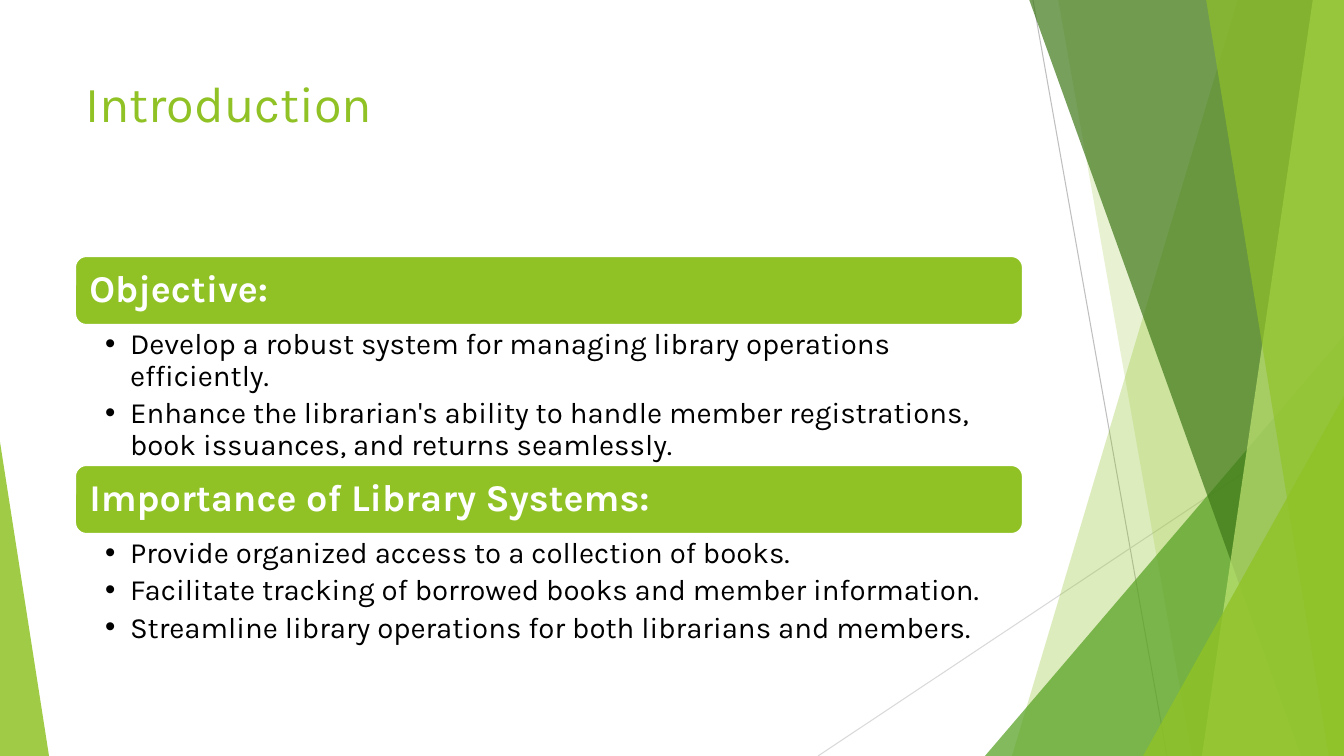
from lxml.etree import SubElement
from pptx import Presentation
from pptx.dml.color import RGBColor
from pptx.enum.shapes import MSO_CONNECTOR, MSO_SHAPE
from pptx.enum.text import MSO_ANCHOR, MSO_AUTO_SIZE, PP_ALIGN
from pptx.oxml.ns import qn
from pptx.util import Pt

EMU_PER_PX = 914400 / 100.8
SLIDE_WIDTH, SLIDE_HEIGHT = 1344, 756
FONT = "Karla"
GREEN, WHITE, BLACK = "90C226", "FFFFFF", "000000"
CONTENT_LEFT, CONTENT_WIDTH = 75, 948
HEADING_HEIGHT = 69

SECTIONS = [
    (256, 139, "Objective:", [
        "Develop a robust system for managing library operations efficiently.",
        "Enhance the librarian's ability to handle member registrations, "
        "book issuances, and returns seamlessly.",
    ]),
    (465, 114, "Importance of Library Systems:", [
        "Provide organized access to a collection of books.",
        "Facilitate tracking of borrowed books and member information.",
        "Streamline library operations for both librarians and members.",
    ]),
]


def px(length):
    return round(length * EMU_PER_PX)


def color(value):
    return RGBColor.from_string(value)


def paint(shape, fill, opacity=100):
    shape.shadow.inherit = False
    shape.fill.solid()
    shape.fill.fore_color.rgb = color(fill)
    shape.line.fill.background()
    if opacity < 100:
        fill_color = shape._element.spPr.find(".//" + qn("a:srgbClr"))
        SubElement(fill_color, qn("a:alpha"), val=str(opacity * 1000))


def place(shape, left, top, width, height):
    shape.left, shape.top = px(left), px(top)
    shape.width, shape.height = px(width), px(height)


def set_frame(frame, anchor, margins):
    frame.word_wrap = True
    frame.auto_size = MSO_AUTO_SIZE.NONE
    frame.vertical_anchor = anchor
    left, top, right, bottom = map(px, margins)
    frame.margin_left, frame.margin_top = left, top
    frame.margin_right, frame.margin_bottom = right, bottom


def format_paragraph(paragraph, size, text_color, bold=False):
    paragraph.alignment = PP_ALIGN.LEFT
    paragraph.space_before = Pt(0)
    paragraph.font.name = FONT
    paragraph.font.size = Pt(size)
    paragraph.font.bold = bold
    paragraph.font.color.rgb = color(text_color)


def add_hairline(slide, start, end, line_color):
    line = slide.shapes.add_connector(
        MSO_CONNECTOR.STRAIGHT, *map(px, start + end))
    line.line.color.rgb = color(line_color)
    line.line.width = Pt(0.75)
    SubElement(line._element.spPr, qn("a:effectLst"))


def add_band(slide, top_x, bottom_x, fill, opacity):
    builder = slide.shapes.build_freeform(top_x, -1, scale=EMU_PER_PX)
    builder.add_line_segments([
        (SLIDE_WIDTH, -1), (SLIDE_WIDTH, SLIDE_HEIGHT), (bottom_x, SLIDE_HEIGHT)])
    paint(builder.convert_to_shape(), fill, opacity)


def add_corner(slide, left, width, height, apex, fill, opacity):
    triangle = slide.shapes.add_shape(
        MSO_SHAPE.ISOSCELES_TRIANGLE,
        px(left), px(SLIDE_HEIGHT - height), px(width), px(height))
    triangle.adjustments[0] = apex
    paint(triangle, fill, opacity)


def add_backdrop(slide):
    add_hairline(slide, (1033, 0), (1167, SLIDE_HEIGHT), "BFBFBF")
    add_hairline(slide, (SLIDE_WIDTH, 406), (818, SLIDE_HEIGHT), "D9D9D9")
    add_band(slide, 1238, 1012, GREEN, 30)
    add_band(slide, 1058, 1192, GREEN, 20)
    add_corner(slide, 985, 359, 420, 1, "54A021", 72)
    add_band(slide, 1029, 1301, "3F7819", 70)
    add_band(slide, 1313, 1202, "C0E474", 70)
    add_band(slide, 1206, 1329, GREEN, 65)
    add_corner(slide, 1143, 201, 360, 1, GREEN, 80)
    add_corner(slide, 0, 49, 314, 0, GREEN, 85)


def fill_title(title, text):
    place(title, CONTENT_LEFT, 67, CONTENT_WIDTH, 145)
    title.text_frame.text = text
    set_frame(title.text_frame, MSO_ANCHOR.TOP, (10, 5, 10, 5))
    format_paragraph(title.text_frame.paragraphs[0], 36, GREEN)


def add_heading(slide, top, text):
    heading = slide.shapes.add_shape(
        MSO_SHAPE.ROUNDED_RECTANGLE, px(CONTENT_LEFT), px(top),
        px(CONTENT_WIDTH), px(HEADING_HEIGHT))
    paint(heading, GREEN)
    heading.line.color.rgb = color(WHITE)
    heading.line.width = Pt(1.5)
    frame = heading.text_frame
    frame.text = text
    set_frame(frame, MSO_ANCHOR.MIDDLE, (11, 11, 11, 11))
    frame.paragraphs[0].line_spacing = 0.9
    format_paragraph(frame.paragraphs[0], 27, WHITE, bold=True)


def fill_list(body, top, height, items):
    place(body, CONTENT_LEFT, top, CONTENT_WIDTH, height)
    frame = body.text_frame
    frame.text = "\n".join(items)
    set_frame(frame, MSO_ANCHOR.TOP, (30, 4, 21, 4))
    for paragraph in frame.paragraphs:
        paragraph.line_spacing = 0.9
        paragraph.space_after = Pt(4)
        properties = paragraph._p.get_or_add_pPr()
        properties.set("marL", str(px(25)))
        properties.set("indent", str(px(-25)))
        format_paragraph(paragraph, 21, BLACK)
        bullet = SubElement(properties, qn("a:buChar"), char="•")
        properties.find(qn("a:defRPr")).addprevious(bullet)


def main():
    presentation = Presentation()
    presentation.slide_width = px(SLIDE_WIDTH)
    presentation.slide_height = px(SLIDE_HEIGHT)
    two_content_layout = presentation.slide_layouts[3]
    slide = presentation.slides.add_slide(two_content_layout)
    title, *bodies = slide.placeholders
    add_backdrop(slide)
    fill_title(title, "Introduction")
    for body, (top, list_height, heading, items) in zip(bodies, SECTIONS):
        add_heading(slide, top, heading)
        fill_list(body, top + HEADING_HEIGHT, list_height, items)
    presentation.save("out.pptx")


if __name__ == "__main__":
    main()
